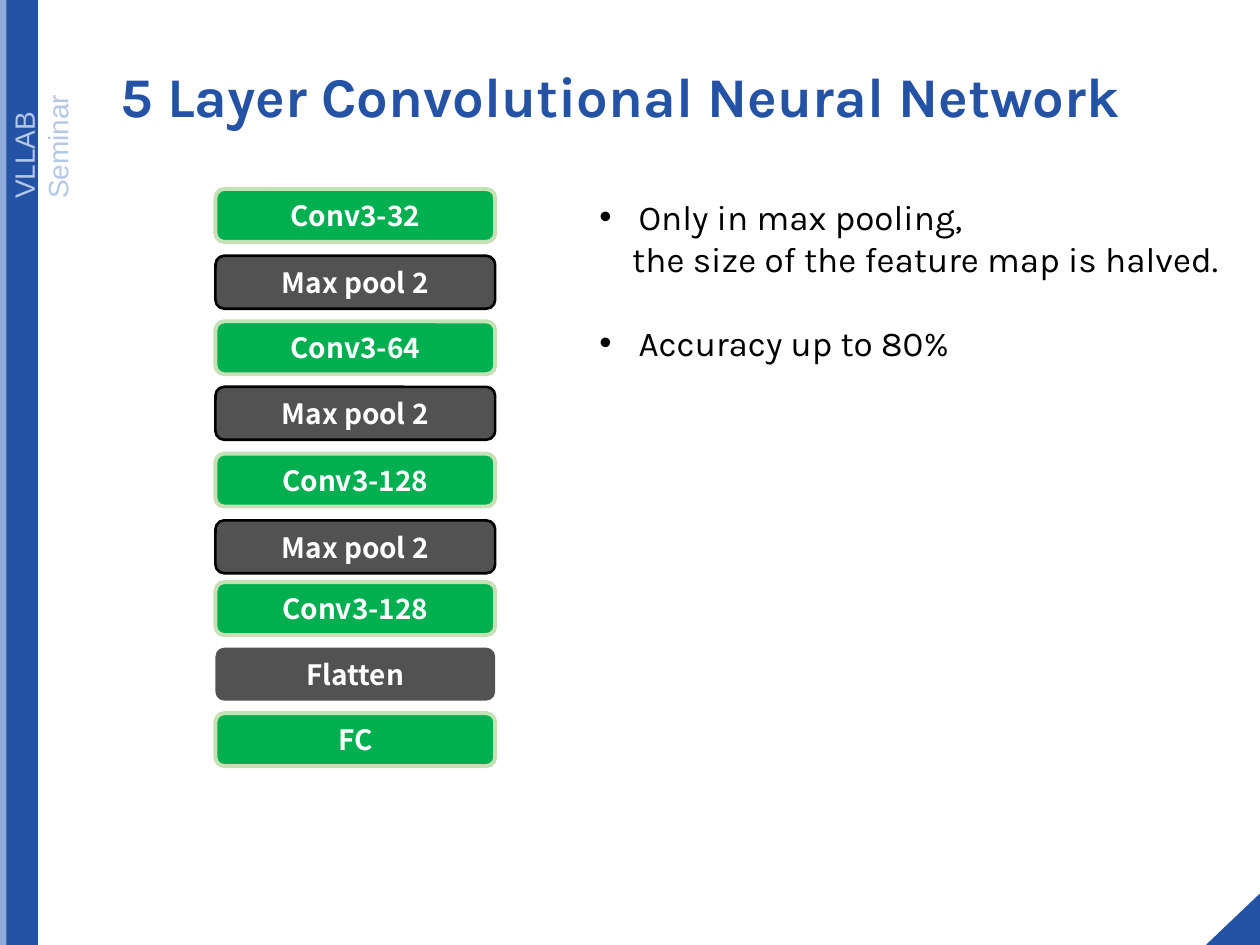
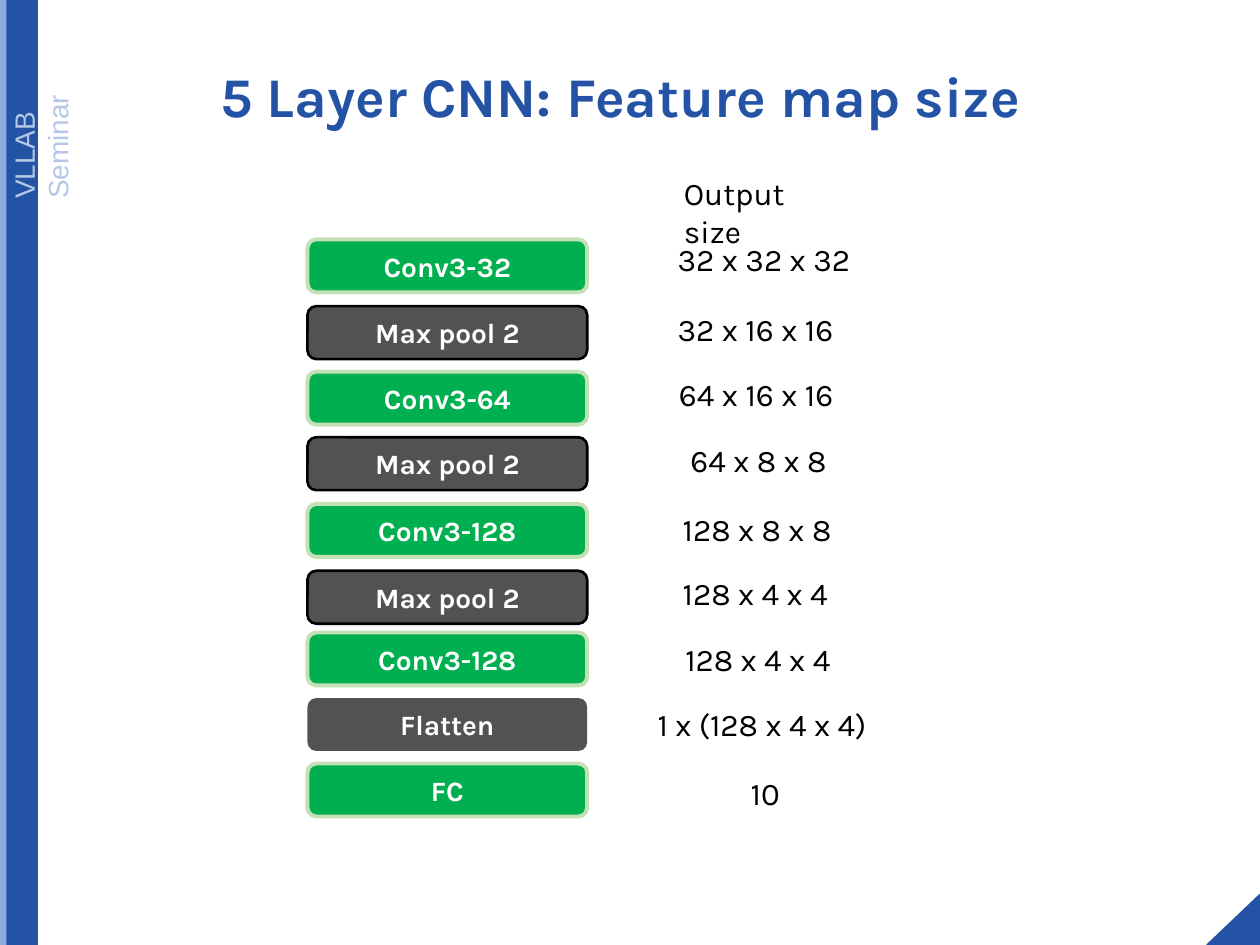
"""Build two slides about a five layer convolutional neural network."""
from typing import NamedTuple, Optional

from lxml import etree
from pptx import Presentation
from pptx.dml.color import RGBColor
from pptx.enum.shapes import MSO_SHAPE as Shape
from pptx.enum.text import MSO_ANCHOR as Anchor, MSO_AUTO_SIZE as AutoSize, PP_ALIGN as Align
from pptx.oxml.ns import qn
from pptx.util import Pt

PX = 9144
BLUE, PALE_BLUE, LABEL_BLUE = "2453A5", "8FAADC", "B4C7E7"
GREEN, PALE_GREEN, GREY = "00B050", "C5E0B4", "525252"
BLACK, WHITE = "000000", "FFFFFF"
KARLA, NOTO, ARIAL = "Karla", "Noto Sans CJK KR", "Arial"


class Box(NamedTuple):
    """A frame in px, at 100 px to the inch."""
    x: int
    y: int
    w: int
    h: int

    def emu(self) -> list[int]:
        """Return left, top, width and height in EMU."""
        return [v * PX for v in self]


class Style(NamedTuple):
    """Fill and outline of a shape."""
    fill: str
    line: Optional[str] = None
    width: float = 0


class Font(NamedTuple):
    """Font of a text."""
    name: str
    size: int
    color: str
    bold: bool = False


class Layer(NamedTuple):
    """A network layer and its drop below the first one."""
    name: str
    drop: int
    style: Style


class Output(NamedTuple):
    """An output size and the frame of its label."""
    text: str
    x: int
    y: int
    w: int


CONV = Style(GREEN, PALE_GREEN, 2.25)
POOL = Style(GREY, BLACK, 1.5)
FLAT = Style(GREY)
LAYERS = [
    Layer("Conv3-32", 0, CONV), Layer("Max pool 2", 53, POOL),
    Layer("Conv3-64", 105, CONV), Layer("Max pool 2", 157, POOL),
    Layer("Conv3-128", 210, CONV), Layer("Max pool 2", 263, POOL),
    Layer("Conv3-128", 312, CONV), Layer("Flatten", 364, FLAT),
    Layer("FC", 416, CONV),
]
OUTPUTS = [
    Output("Output size", 533, 133, 146), Output("32 x 32 x 32", 528, 186, 160),
    Output("32 x 16 x 16", 528, 241, 163), Output("64 x 16 x 16", 529, 293, 160),
    Output("64 x 8 x 8", 538, 345, 135), Output("128 x 8 x 8", 532, 400, 146),
    Output("128 x 4 x 4", 532, 451, 146), Output("128 x 4 x 4", 534, 503, 149),
    Output("1 x (128 x 4 x 4)", 512, 555, 208), Output("10", 586, 609, 48),
]
TITLE_FONT = Font(KARLA, 32, BLUE, True)
BODY_FONT = Font(KARLA, 20, BLACK)
SIZE_FONT = Font(KARLA, 18, BLACK)
SIDE_FONT = Font(ARIAL, 16, LABEL_BLUE)


def rgb(color: str) -> RGBColor:
    """Turn a hex string into a colour."""
    return RGBColor.from_string(color)


def assign(obj, values: dict) -> None:
    """Set attributes from a dict."""
    for key, value in values.items():
        setattr(obj, key, value)


def write(p, text: str, font: Font, **layout) -> None:
    """Put one formatted run into a paragraph."""
    assign(p, layout)
    r = p.add_run()
    r.text = text
    assign(r.font, {"name": font.name, "size": Pt(font.size), "bold": font.bold})
    r.font.color.rgb = rgb(font.color)


def add_text(s, box: Box, text: str, font: Font, rotation: int = 0):
    """Add a wrapping text box and return its text frame."""
    sp = s.shapes.add_textbox(*box.emu())
    sp.rotation = rotation
    tf = sp.text_frame
    assign(tf, {"word_wrap": True, "auto_size": AutoSize.NONE})
    write(tf.paragraphs[0], text, font)
    return tf


def add_box(s, kind: Shape, box: Box, style: Style, rotation: int = 0):
    """Add a filled preset shape."""
    sp = s.shapes.add_shape(kind, *box.emu())
    sp.rotation = rotation
    sp.shadow.inherit = False
    sp.fill.solid()
    sp.fill.fore_color.rgb = rgb(style.fill)
    if style.line:
        sp.line.color.rgb = rgb(style.line)
        sp.line.width = Pt(style.width)
    else:
        sp.line.fill.background()
    return sp


def add_slide(prs, title: str):
    """Add a slide with the side bands, corner and title."""
    s = prs.slides.add_slide(prs.slide_layouts[5])
    add_box(s, Shape.RECTANGLE, Box(0, 0, 25, 750), Style(PALE_BLUE))
    add_box(s, Shape.RECTANGLE, Box(5, 0, 25, 750), Style(BLUE))
    add_text(s, Box(-65, 65, 168, 37), "VLLAB Seminar", SIDE_FONT, 270)
    add_box(s, Shape.RIGHT_TRIANGLE, Box(959, 709, 40, 42), Style(BLUE, BLUE, 1), 270)
    sp = s.shapes.title
    assign(sp, dict(zip(("left", "top", "width", "height"), Box(34, 33, 917, 91).emu())))
    tf = sp.text_frame
    assign(tf, {"word_wrap": True, "vertical_anchor": Anchor.MIDDLE})
    write(tf.paragraphs[0], title, TITLE_FONT, alignment=Align.CENTER, line_spacing=0.9)
    return s


def add_layers(s, x: int, y: int, font_name: str) -> None:
    """Draw the stack of network layers."""
    font = Font(font_name, 16, WHITE, True)
    for layer in LAYERS:
        box = Box(x, y + layer.drop, 222, 42)
        tf = add_box(s, Shape.ROUNDED_RECTANGLE, box, layer.style).text_frame
        tf.vertical_anchor = Anchor.MIDDLE
        write(tf.paragraphs[0], layer.name, font, alignment=Align.CENTER)


def indent(p, left: int, bullet: bool = False) -> None:
    """Indent a paragraph, with a hanging bullet if asked."""
    pPr = p._p.get_or_add_pPr()
    pPr.set("marL", str(left * PX))
    if bullet:
        pPr.set("indent", str(-left * PX))
        etree.SubElement(pPr, qn("a:buFont")).set("typeface", ARIAL)
        etree.SubElement(pPr, qn("a:buChar")).set("char", "•")


def add_notes_list(s) -> None:
    """Write the remarks beside the layers."""
    tf = add_text(s, Box(466, 150, 517, 145), "Only in max pooling,", BODY_FONT)
    indent(tf.paragraphs[0], 31, True)
    p = tf.add_paragraph()
    indent(p, 26)
    write(p, "the size of the feature map is halved.", BODY_FONT)
    p = tf.add_paragraph()
    p.space_before = Pt(24)
    indent(p, 31, True)
    write(p, "Accuracy up to 80%", BODY_FONT)


def main() -> None:
    """Build and save the slides."""
    prs = Presentation()
    assign(prs, {"slide_width": 1000 * PX, "slide_height": 750 * PX})

    s = add_slide(prs, "5 Layer Convolutional Neural Network")
    add_layers(s, 171, 150, NOTO)
    add_notes_list(s)

    s = add_slide(prs, "5 Layer CNN: Feature map size")
    add_layers(s, 244, 190, KARLA)
    for out in OUTPUTS:
        add_text(s, Box(out.x, out.y, out.w, 40), out.text, SIZE_FONT)

    prs.save("out.pptx")


if __name__ == "__main__":
    main()
